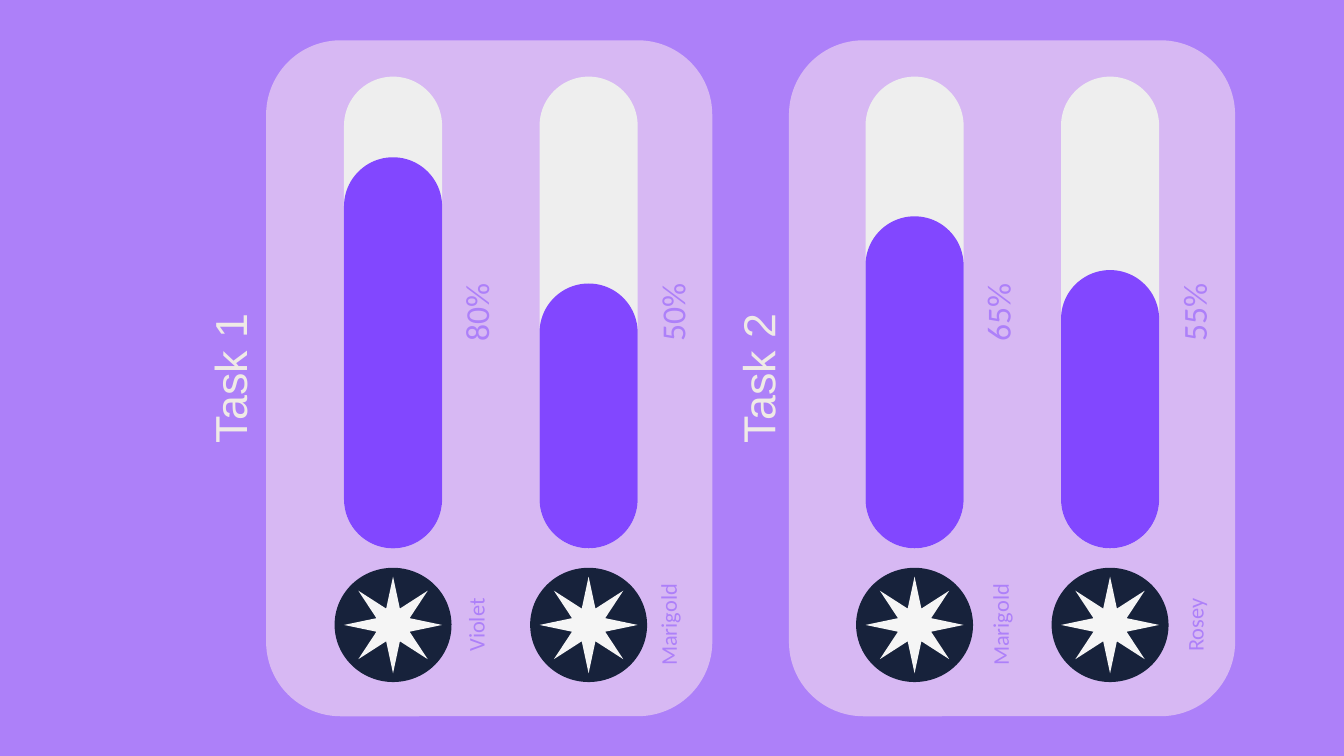
import pptx
import pptx.util
import pptx.dml.color
import pptx.enum.shapes
import pptx.enum.text

SHAPE = pptx.enum.shapes.MSO_SHAPE
COLUMNS = 100
PURPLE = "AD80F9"
TASKS = [
    ("Task 1", [("80%", 29.1, 34.75, "Violet", 34.75), ("50%", 19.7, 49.5, "Marigold", 49.05)]),
    ("Task 2", [("65%", 24.7, 73.7, "Marigold", 73.75), ("55%", 20.7, 88.3, "Rosey", 88.25)]),
]


def color(value):
    return pptx.dml.color.RGBColor.from_string(value)


class Board:
    """Draws styled elements on one slide, measured in square grid cells."""

    def __init__(self, prs, background):
        self.cell = prs.slide_width / COLUMNS
        self.s = prs.slides.add_slide(prs.slide_layouts[6])
        self.s.background.fill.solid()
        self.s.background.fill.fore_color.rgb = color(background)

    def span(self, *cells):
        return [pptx.util.Emu(round(n * self.cell)) for n in cells]

    def shape(self, kind, x, y, w, h, fill, adjust=None, rotation=0):
        sp = self.s.shapes.add_shape(kind, *self.span(x, y, w, h))
        sp.shadow.inherit = False
        sp.fill.solid()
        sp.fill.fore_color.rgb = color(fill)
        sp.line.fill.background()
        sp.rotation = rotation
        if adjust is not None:
            sp.adjustments[0] = adjust

    def panel(self, x):
        self.shape(SHAPE.ROUNDED_RECTANGLE, x, 3, 33.2, 50.3, "D7B8F3", 0.167)

    def badge(self, x):
        self.shape(SHAPE.OVAL, x - 0.6, 42.15, 8.5, 8.7, "17223B", rotation=272.9)
        self.shape(SHAPE.STAR_8_POINT, x, 42.9, 7.3, 7.2, "F5F5F5", 0.183)

    def bar(self, x, height, fill):
        self.shape(SHAPE.ROUNDED_RECTANGLE, x, 40.8 - height, 7.3, height, fill, 0.5)

    def label(self, text, cx, cy, w, h, size, fill, font="Calibri"):
        sp = self.s.shapes.add_textbox(*self.span(cx - w / 2, cy - h / 2, w, h))
        sp.rotation = 270
        tf = sp.text_frame
        tf.word_wrap = True
        tf.margin_left = tf.margin_right = tf.margin_top = tf.margin_bottom = pptx.util.Inches(0.1)
        p = tf.paragraphs[0]
        p.text = text
        p.alignment = pptx.enum.text.PP_ALIGN.CENTER
        p.font.name = font
        p.font.size = pptx.util.Pt(size)
        p.font.color.rgb = color(fill)
        return tf

    def title(self, text, cx):
        tf = self.label(text, cx, 28.15, 32.8, 6.1, 24, "EFEAE6", "Arial")
        tf.auto_size = pptx.enum.text.MSO_AUTO_SIZE.SHAPE_TO_FIT_TEXT
        tf.paragraphs[0].space_after = pptx.util.Pt(10)


def main():
    prs = pptx.Presentation()
    prs.slide_width = pptx.util.Inches(10)
    prs.slide_height = prs.slide_width * 9 // 16
    board = Board(prs, PURPLE)
    for i, (task, members) in enumerate(TASKS):
        board.panel(19.8 + 38.9 * i)
        board.title(task, 17.1 + 39.3 * i)
        for j, (percent, height, percent_x, name, name_x) in enumerate(members):
            x = 25.6 + 38.8 * i + 14.55 * j
            board.badge(x)
            board.bar(x, 35.1, "EEEEEE")
            board.bar(x, height, "8247FF")
            board.label(percent, percent_x, 23.25, 7.8, 4 if i or j else 3.7, 18, PURPLE)
            board.label(name, name_x, 46.5, 8.7, 2.7, 12, PURPLE)
    prs.save("out.pptx")


if __name__ == "__main__":
    main()
